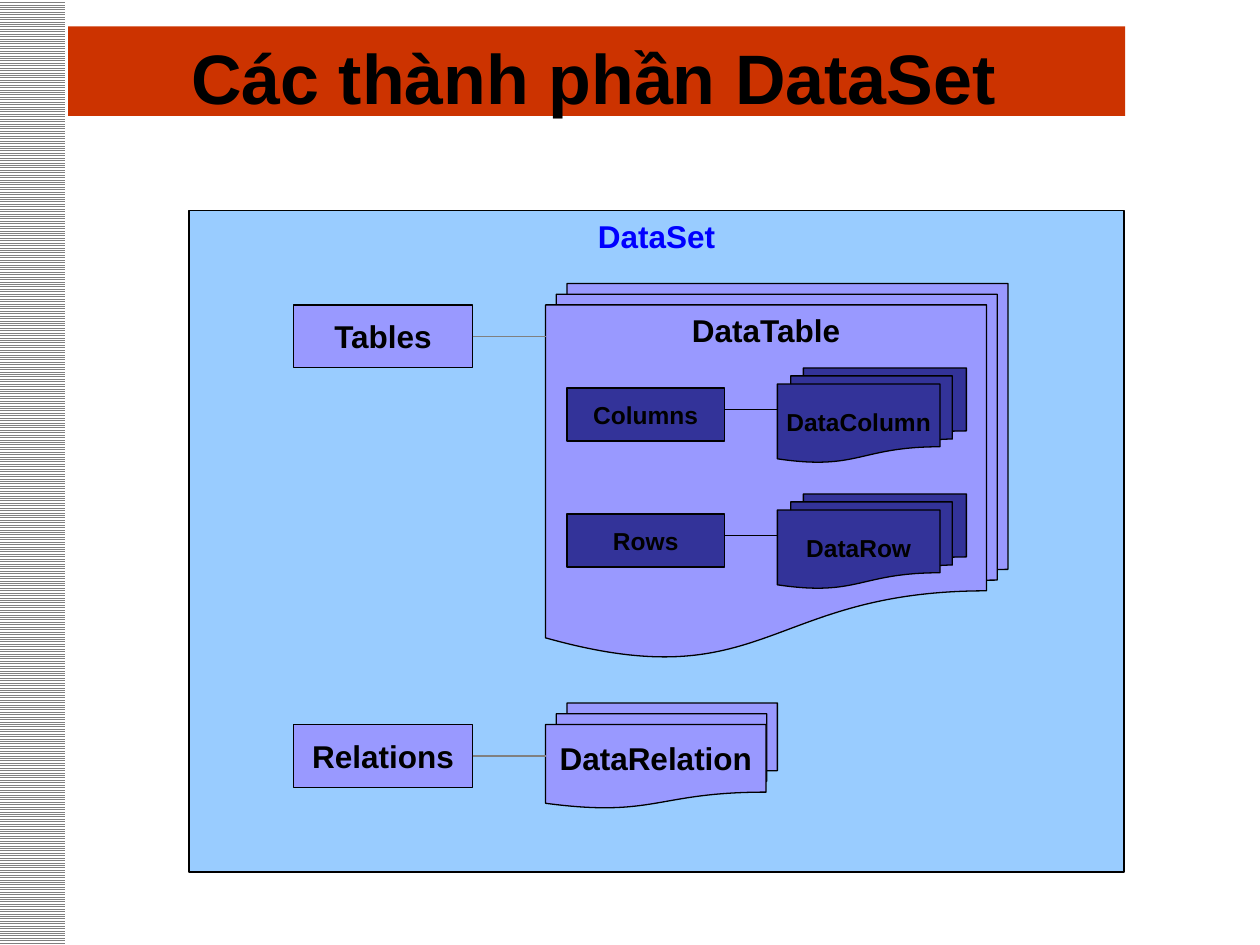
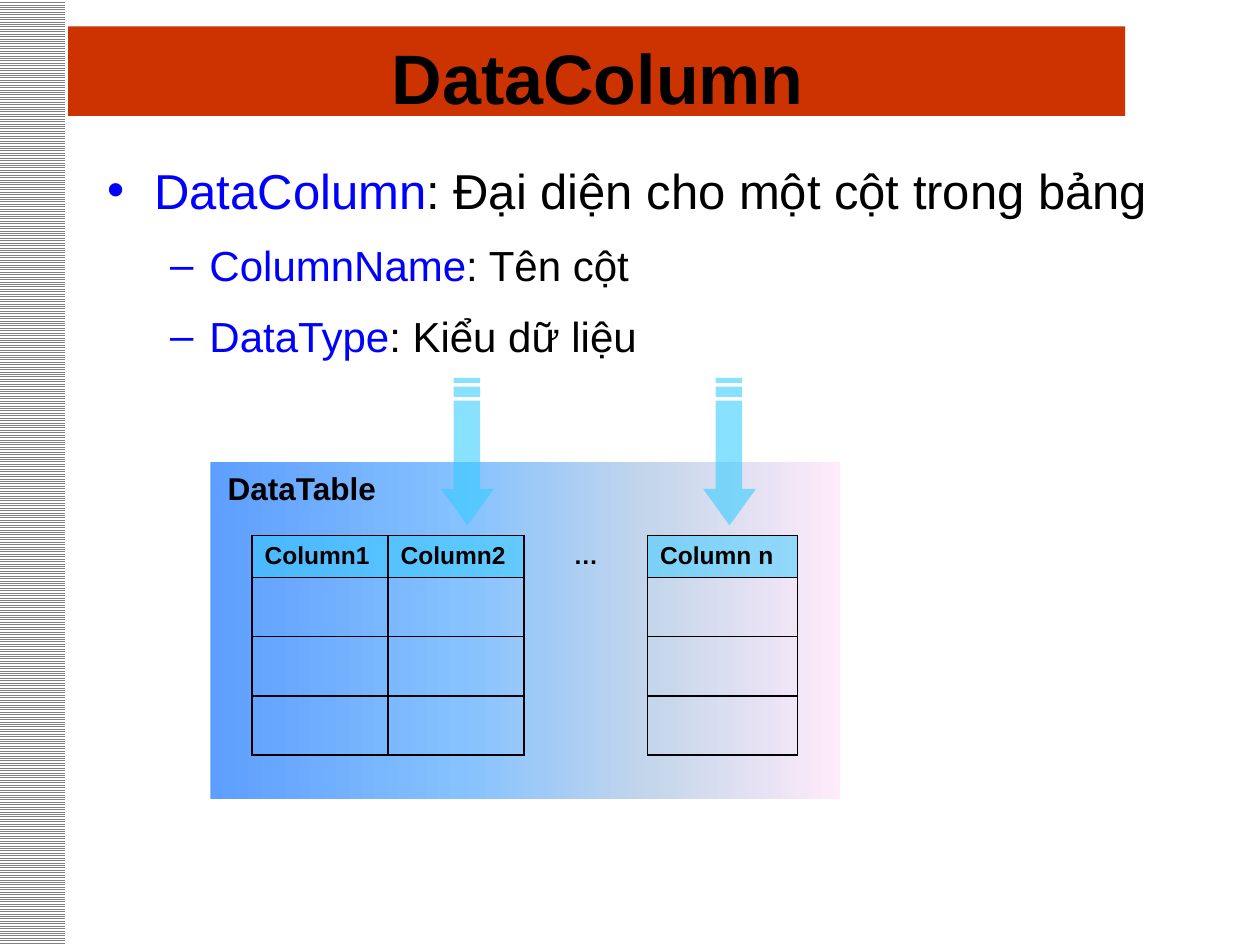
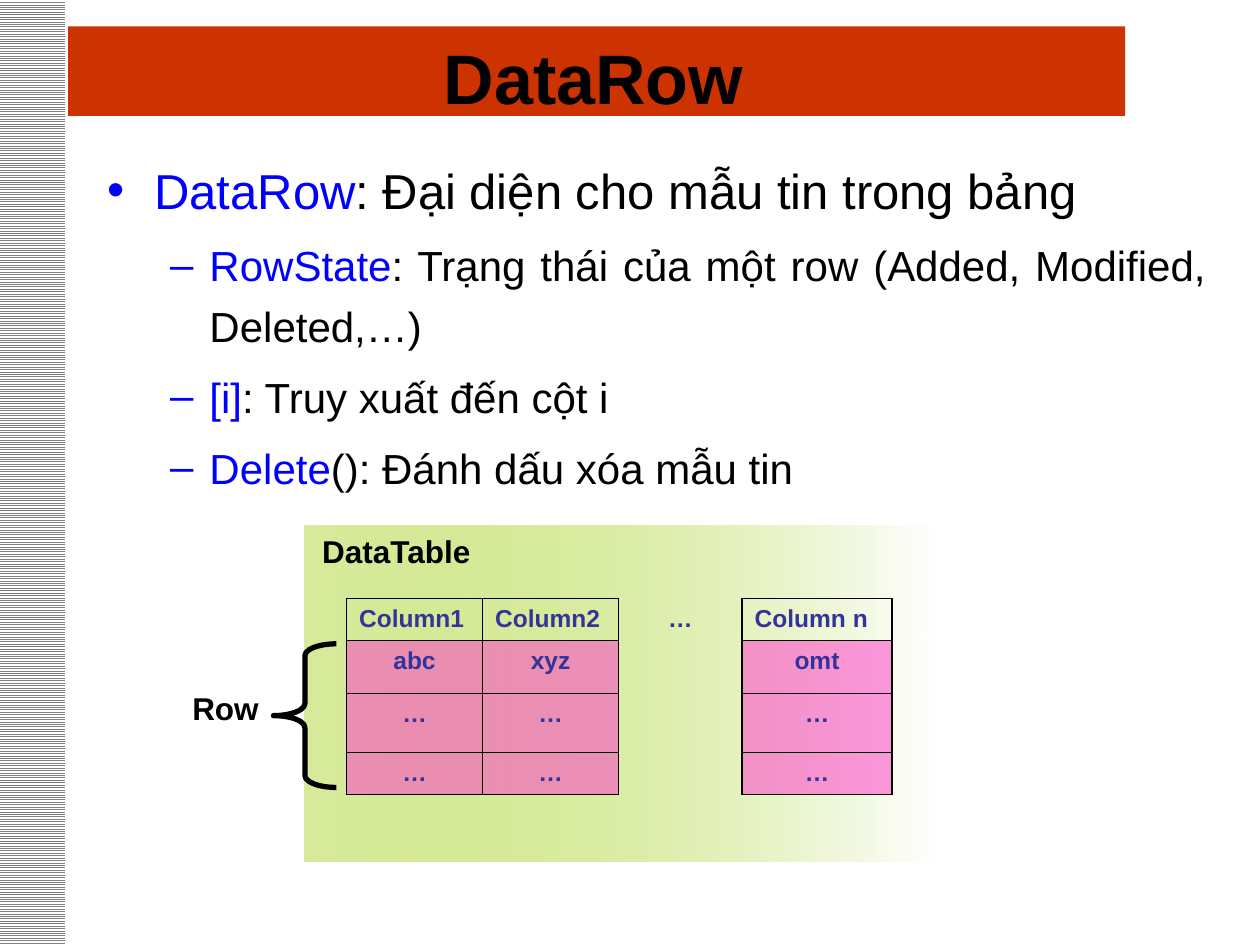
from lxml import etree
from pptx import Presentation
from pptx.dml.color import RGBColor
from pptx.enum.dml import MSO_PATTERN
from pptx.enum.shapes import MSO_CONNECTOR, MSO_SHAPE
from pptx.enum.text import MSO_ANCHOR, MSO_AUTO_SIZE, PP_ALIGN
from pptx.oxml.ns import qn
from pptx.util import Inches, Pt

RECT, DOCUMENT = MSO_SHAPE.RECTANGLE, MSO_SHAPE.FLOWCHART_DOCUMENT
MULTI, BRACE = MSO_SHAPE.FLOWCHART_MULTIDOCUMENT, MSO_SHAPE.LEFT_BRACE
STRAIGHT = MSO_CONNECTOR.STRAIGHT
TOP, MIDDLE = MSO_ANCHOR.TOP, MSO_ANCHOR.MIDDLE
LEFT, CENTER, JUSTIFY = PP_ALIGN.LEFT, PP_ALIGN.CENTER, PP_ALIGN.JUSTIFY
NO_FIT = MSO_AUTO_SIZE.NONE
STRIPES = MSO_PATTERN.LIGHT_HORIZONTAL

FONT = "Arial"
BLACK, WHITE, GREY, BLUE = "000000", "FFFFFF", "808080", "0000FF"
RED, SKY, LILAC, NAVY = "CC3300", "99CCFF", "9999FF", "333399"
CYAN, PINK = "33CCFF", "FF33CC"


def paint(fill, color, opacity=100, back=None):
    """Fill solidly, or with stripes when a back colour is given."""
    if back:
        fill.patterned()
        fill.pattern = STRIPES
        fill.back_color.rgb = RGBColor.from_string(back)
    else:
        fill.solid()
    fill.fore_color.rgb = RGBColor.from_string(color)
    if opacity < 100:
        solid_color = fill._xPr.find(qn("a:solidFill"))[0]
        etree.SubElement(solid_color, qn("a:alpha"), val=str(opacity * 1000))


def add_box(slide, kind, at, fill=None, line=None, text="", size=18,
            color=BLACK, anchor=MIDDLE, weight=0.75):
    """Add a preset shape, or a text box when kind is None."""
    place = [Inches(v) for v in at]
    if kind is None:
        box = slide.shapes.add_textbox(*place)
    else:
        box = slide.shapes.add_shape(kind, *place)
    box.shadow.inherit = False
    if fill:
        paint(box.fill, fill)
    else:
        box.fill.background()
    if line:
        paint(box.line.fill, line)
        box.line.width = Pt(weight)
    else:
        box.line.fill.background()
    if text:
        box.text_frame.word_wrap = False
        box.text_frame.vertical_anchor = anchor
        paragraph = box.text_frame.paragraphs[0]
        paragraph.alignment = CENTER
        run = paragraph.add_run()
        run.text = text
        for name, value in {"name": FONT, "size": Pt(size), "bold": True}.items():
            setattr(run.font, name, value)
        paint(run.font.fill, color)
    return box


prs = Presentation()
prs.slide_width, prs.slide_height = Inches(10), Inches(7.5)
BODY_LAYOUT, TITLE_LAYOUT = prs.slide_layouts[1], prs.slide_layouts[5]

# Slides with their titles
titles = [
    ("Các thành phần DataSet", TITLE_LAYOUT, (0.5, 0.17, 8.42, 0.83)),
    ("DataColumn", BODY_LAYOUT, (0.58, 0.17, 8.33, 0.8)),
    ("DataRow", BODY_LAYOUT, (0.5, 0.17, 8.42, 0.73)),
]
slides = []
for heading, layout, at in titles:
    slide = prs.slides.add_slide(layout)
    slides.append(slide)
    title = slide.shapes.title
    title.left, title.top, title.width, title.height = [Inches(v) for v in at]
    title.text = heading
    frame_format = {"auto_size": NO_FIT, "vertical_anchor": TOP,
                    "margin_top": Inches(0.1), "margin_bottom": 0}
    for name, value in frame_format.items():
        setattr(title.text_frame, name, value)
    title.text_frame.paragraphs[0].alignment = CENTER
    font = title.text_frame.paragraphs[0].runs[0].font
    for name, value in {"name": FONT, "size": Pt(40), "bold": True}.items():
        setattr(font, name, value)
    paint(font.fill, BLACK)

# Title band and striped edge, moved to the master
title_band = add_box(slides[0], RECT, (0.54, 0.21, 8.39, 0.71), RED)
edge = add_box(slides[0], RECT, (-0.01, 0, 0.53, 7.5), WHITE)
paint(edge.fill, GREY, back=WHITE)
for index, part in enumerate((title_band, edge)):
    part._element.nvSpPr.cNvPr.set("id", str(101 + index))
    prs.slide_master.shapes._spTree.insert(2 + index, part._element)

# Slide 1: the DataSet and its members
overview = slides[0]
add_box(overview, RECT, (1.5, 1.67, 7.42, 5.25), SKY, BLACK, "DataSet", color=BLUE, anchor=TOP)

STACK_STEP = 0.085
stacks = [
    ("DataTable", 2.42, 3.5, 3.5, 2.83, TOP),
    ("DataRelation", 5.75, 1.75, 1.67, 0.67, MIDDLE),
]
for label, top, front_width, rear_width, height, anchor in stacks:
    for step in (2, 1, 0):
        add_box(overview, DOCUMENT,
                (4.33 + step * STACK_STEP, top - step * STACK_STEP,
                 rear_width if step else front_width, height),
                LILAC, BLACK, "" if step else label, anchor=anchor)

links = []
for label, top in (("Tables", 2.42), ("Relations", 5.75)):
    collection = add_box(overview, RECT, (2.33, top, 1.42, 0.5), LILAC, BLACK, label)
    links.append((3.75, 4.33, top + 0.25, GREY, collection))
for label, item, top in (("Columns", "DataColumn", 3.08), ("Rows", "DataRow", 4.08)):
    add_box(overview, RECT, (4.5, top, 1.25, 0.42), NAVY, BLACK, label, 14)
    add_box(overview, MULTI, (6.17, top - 0.16, 1.5, 0.75), NAVY, BLACK, item, 14)
    links.append((5.75, 6.17, top + 0.17, BLACK, None))

for start, end, y, color, collection in links:
    link = overview.shapes.add_connector(
        STRAIGHT, Inches(start), Inches(y), Inches(end), Inches(y))
    if collection:
        link.begin_connect(collection, 3)
    paint(link.line.fill, color)
    link.line.width = Pt(0.75)
    etree.SubElement(link._element.spPr, qn("a:effectLst"))

# Slides 2 and 3: a list above a DataTable panel
HEADER = ["Column1", "Column2", "…", "Column n"]
COLUMN_WIDTHS = [1.08, 1.08, 0.98, 1.19]
GAP_COLUMN = 2
details = [
    {
        "slide": slides[1], "body": (0.75, 1.13, 8.83, 5.7),
        "list": [("DataColumn", ": Đại diện cho một cột trong bảng"),
                 ("ColumnName", ": Tên cột"),
                 ("DataType", ": Kiểu dữ liệu")],
        "panel": (1.67, 3.67),
        "stops": [(0, "5E9EFF", 100), (40, "85C2FF", 100),
                  (70, "C4D6EB", 100), (100, "FFEBFA", 100)],
        "rows": [HEADER] + [[""] * 4] * 3, "heights": [0.33, 0.47, 0.47, 0.47],
        "text": BLACK, "header_fill": CYAN, "cell_fill": None,
    },
    {
        "slide": slides[2], "body": (0.75, 1.13, 8.92, 5.7),
        "list": [("DataRow", ": Đại diện cho mẫu tin trong bảng"),
                 ("RowState", ": Trạng thái của một row (Added, Modified, Deleted,…)"),
                 ("[i]", ": Truy xuất đến cột i"),
                 ("Delete", "(): Đánh dấu xóa mẫu tin")],
        "panel": (2.42, 4.17),
        "stops": [(0, "99CC00", 39), (100, "FFFFFF", 100)],
        "rows": [HEADER, ["abc", "xyz", "", "omt"]] + [["…", "…", "", "…"]] * 2,
        "heights": [0.33, 0.42, 0.47, 0.33],
        "text": NAVY, "header_fill": None, "cell_fill": PINK,
    },
]
for detail in details:
    slide = detail["slide"]

    # Term list
    body = slide.placeholders[1]
    body.left, body.top, body.width, body.height = [Inches(v) for v in detail["body"]]
    body.text_frame.auto_size = NO_FIT
    for index, (term, meaning) in enumerate(detail["list"]):
        entry = body.text_frame.add_paragraph() if index else body.text_frame.paragraphs[0]
        entry_format = {"level": min(index, 1), "alignment": JUSTIFY, "line_spacing": 1.2,
                        "space_before": Pt(3), "space_after": Pt(3)}
        for name, value in entry_format.items():
            setattr(entry, name, value)
        for words, color in ((term, BLUE), (meaning, BLACK)):
            run = entry.add_run()
            run.text = words
            run.font.name = FONT
            run.font.size = Pt(24 if index else 28)
            paint(run.font.fill, color)

    # Gradient panel with its caption
    left, top = detail["panel"]
    panel = add_box(slide, RECT, (left, top, 5, 2.67))
    panel.fill.gradient()
    panel.fill.gradient_angle = 0
    stop_list = panel._element.spPr.find(qn("a:gradFill")).find(qn("a:gsLst"))
    for old_stop in list(stop_list):
        stop_list.remove(old_stop)
    for position, color, opacity in detail["stops"]:
        stop = etree.SubElement(stop_list, qn("a:gs"), pos=str(position * 1000))
        stop_color = etree.SubElement(stop, qn("a:srgbClr"), val=color)
        etree.SubElement(stop_color, qn("a:alpha"), val=str(opacity * 1000))
    add_box(slide, None, (left, top, 1.52, 0.43), text="DataTable ", anchor=TOP)

    # Table grid
    grid = slide.shapes.add_table(
        4, 4, Inches(left + 0.33), Inches(top + 0.58),
        Inches(sum(COLUMN_WIDTHS)), Inches(sum(detail["heights"]))).table
    grid.first_row = grid.horz_banding = False
    for column, width in zip(grid.columns, COLUMN_WIDTHS):
        column.width = Inches(width)
    for r, (words_row, height) in enumerate(zip(detail["rows"], detail["heights"])):
        grid.rows[r].height = Inches(height)
        for c, words in enumerate(words_row):
            cell = grid.cell(r, c)
            paragraph = cell.text_frame.paragraphs[0]
            paragraph.alignment = CENTER if r or c == GAP_COLUMN else LEFT
            if words:
                run = paragraph.add_run()
                run.text = words
                for name, value in {"name": FONT, "size": Pt(14), "bold": True}.items():
                    setattr(run.font, name, value)
                paint(run.font.fill, detail["text"])
            else:
                etree.SubElement(paragraph._p, qn("a:endParaRPr"), sz="1400")
            fill = detail["cell_fill"] if r else detail["header_fill"]
            if fill and c != GAP_COLUMN:
                paint(cell.fill, fill, 50)
            else:
                cell.fill.background()
            # The gap column has side borders only
            for index, side in enumerate("LRTB"):
                border = etree.Element(qn("a:ln" + side), w=str(Pt(1)))
                if c == GAP_COLUMN and side in "TB":
                    etree.SubElement(border, qn("a:noFill"))
                else:
                    solid = etree.SubElement(border, qn("a:solidFill"))
                    etree.SubElement(solid, qn("a:srgbClr"), val=BLACK)
                cell._tc.get_or_add_tcPr().insert(index, border)

# Slide 2: striped arrows pointing at columns
ARROW_TOP = 3
head = [(0.42, 0.88), (0.31, 0.88), (0.31, 0.18), (0.1, 0.18), (0.1, 0.88), (0, 0.88), (0.21, 1.17)]
bars = [[(0.31, a), (0.1, a), (0.1, b), (0.31, b)] for a, b in ((0.07, 0.15), (0, 0.04))]
for left in (3.5, 5.58):
    outlines = [[(Inches(left + x), Inches(ARROW_TOP + y)) for x, y in outline]
                for outline in [head] + bars]
    builder = slides[1].shapes.build_freeform(*outlines[0][0])
    for index, outline in enumerate(outlines):
        if index:
            builder.move_to(*outline[0])
        builder.add_line_segments(outline[1:], close=True)
    arrow = builder.convert_to_shape()
    arrow.shadow.inherit = False
    paint(arrow.fill, CYAN, 58)
    arrow.line.fill.background()

# Slide 3: brace marking the rows
brace = add_box(slides[2], BRACE, (2.17, 5.11, 0.5, 1.14), line=BLACK, weight=3)
brace.adjustments[0] = 0.19
add_box(slides[2], None, (1.42, 5.42, 0.74, 0.43), text="Row", anchor=TOP)

prs.save("out.pptx")
